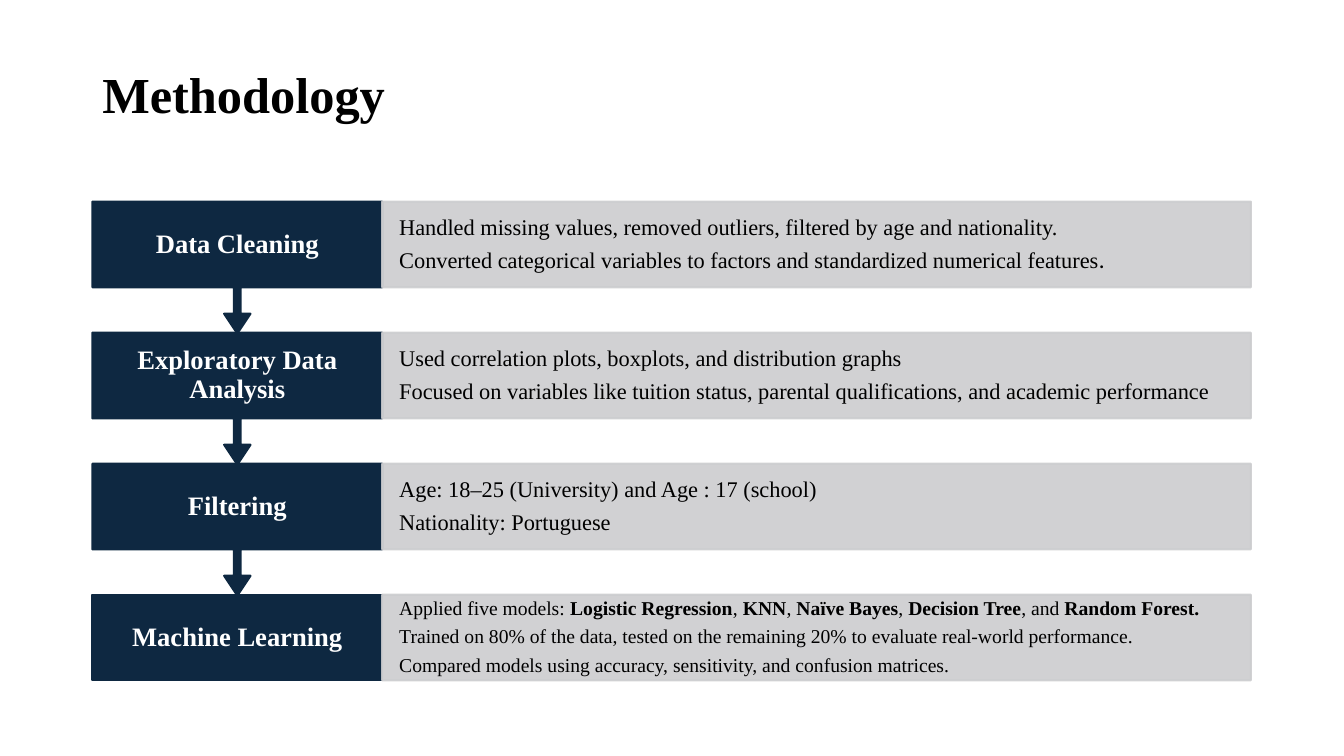
from lxml import etree
from pptx import Presentation
from pptx import util as u
from pptx.dml.color import RGBColor
from pptx.enum import shapes, text
from pptx.oxml.ns import qn

COLORS = {"navy": "0E2841", "grey": "CCCDCF", "black": "000000", "white": "FFFFFF"}
SERIF = "Times New Roman"
LEFT, TOP, STEP = 66, 144, 93.6
LABEL_WIDTH, BODY_LEFT, BODY_WIDTH, ROW_HEIGHT = 207, 273, 620.5, 61.2

STAGES = [
    ("Data Cleaning", 16, 15.8, [
        "Handled missing values, removed outliers, filtered by age and nationality.",
        "Converted categorical variables to factors and standardized numerical features",
    ]),
    ("Exploratory Data Analysis", 16, 15.8, [
        "Used correlation plots, boxplots, and distribution graphs",
        "Focused on variables like tuition status, parental qualifications, and academic performance",
    ]),
    ("Filtering", 16, 15.8, [
        "Age: 18–25 (University) and Age : 17 (school)",
        "Nationality: Portuguese",
    ]),
    ("Machine Learning", 14, 13.7, [
        "Applied five models: *Logistic Regression*, *KNN*, *Naïve Bayes*, "
        "*Decision Tree*, and *Random Forest.*",
        "Trained on 80% of the data, tested on the remaining 20% to evaluate real-world performance.",
        "Compared models using accuracy, sensitivity, and confusion matrices.",
    ]),
]


def paint(shape, color, opacity=100):
    shape.shadow.inherit = False
    shape.fill.solid()
    shape.fill.fore_color.rgb = RGBColor.from_string(COLORS[color])
    shape.line.color.rgb = RGBColor.from_string(COLORS[color])
    shape.line.width = u.Pt(1.5)
    if opacity < 100:
        for color_element in shape._element.spPr.iter(qn("a:srgbClr")):
            etree.SubElement(color_element, qn("a:alpha"), val=str(opacity * 1000))


def write(shape, lines, size, color, insets, alignment, bold=False):
    frame = shape.text_frame
    frame.word_wrap = True
    frame.vertical_anchor = text.MSO_ANCHOR.MIDDLE
    frame.margin_left = frame.margin_right = u.Pt(insets[0])
    frame.margin_top = u.Pt(insets[1])
    frame.margin_bottom = u.Pt(insets[2])
    for number, line in enumerate(lines):
        paragraph = frame.add_paragraph() if number else frame.paragraphs[0]
        paragraph.alignment = alignment
        paragraph.line_spacing = 0.9
        if number < len(lines) - 1:
            paragraph.space_after = u.Pt(round(size * 0.39, 1))
        for position, piece in enumerate(line.split("*")):
            if piece:
                run = paragraph.add_run()
                run.text = piece
                run.font.name = SERIF
                run.font.size = u.Pt(size)
                run.font.bold = bold or position % 2 == 1
                run.font.color.rgb = RGBColor.from_string(COLORS[color])


presentation = Presentation()
presentation.slide_width = u.Pt(960)
presentation.slide_height = u.Pt(540)
slide = presentation.slides.add_slide(presentation.slide_layouts[6])

title = slide.shapes.add_textbox(u.Pt(LEFT), u.Pt(44), u.Pt(828), u.Pt(89))
write(title, ["Methodology"], 36, "black", (7.2, 3.6, 41), text.PP_ALIGN.LEFT, bold=True)

last_row = len(STAGES) - 1
for row, (name, size, inset, lines) in reversed(list(enumerate(STAGES))):
    top = TOP + row * STEP
    if row == last_row:
        block = slide.shapes.add_shape(
            shapes.MSO_SHAPE.RECTANGLE,
            u.Pt(LEFT), u.Pt(top), u.Pt(LABEL_WIDTH), u.Pt(ROW_HEIGHT))
    else:
        block = slide.shapes.add_shape(
            shapes.MSO_SHAPE.UP_ARROW_CALLOUT,
            u.Pt(LEFT), u.Pt(top), u.Pt(LABEL_WIDTH), u.Pt(94.2))
        block.rotation = 180
        for index, value in enumerate((0.05, 0.1, 0.15, 0.65)):
            block.adjustments[index] = value
    paint(block, "navy")

    label = slide.shapes.add_textbox(
        u.Pt(LEFT), u.Pt(top), u.Pt(LABEL_WIDTH), u.Pt(ROW_HEIGHT))
    write(label, [name], 19, "white", (14.4, 10.8, 10.8), text.PP_ALIGN.CENTER, bold=True)

    body = slide.shapes.add_shape(
        shapes.MSO_SHAPE.RECTANGLE,
        u.Pt(BODY_LEFT), u.Pt(top), u.Pt(BODY_WIDTH), u.Pt(ROW_HEIGHT))
    paint(body, "grey", opacity=90)
    write(body, lines, size, "black", (12.2, inset, inset), text.PP_ALIGN.LEFT)

    if name == "Data Cleaning":
        full_stop = body.text_frame.paragraphs[-1].add_run()
        full_stop.text = "."
        full_stop.font.name = "Lato"
        full_stop.font.size = u.Pt(size)
        full_stop.font.color.rgb = RGBColor.from_string(COLORS["black"])

presentation.save("out.pptx")
